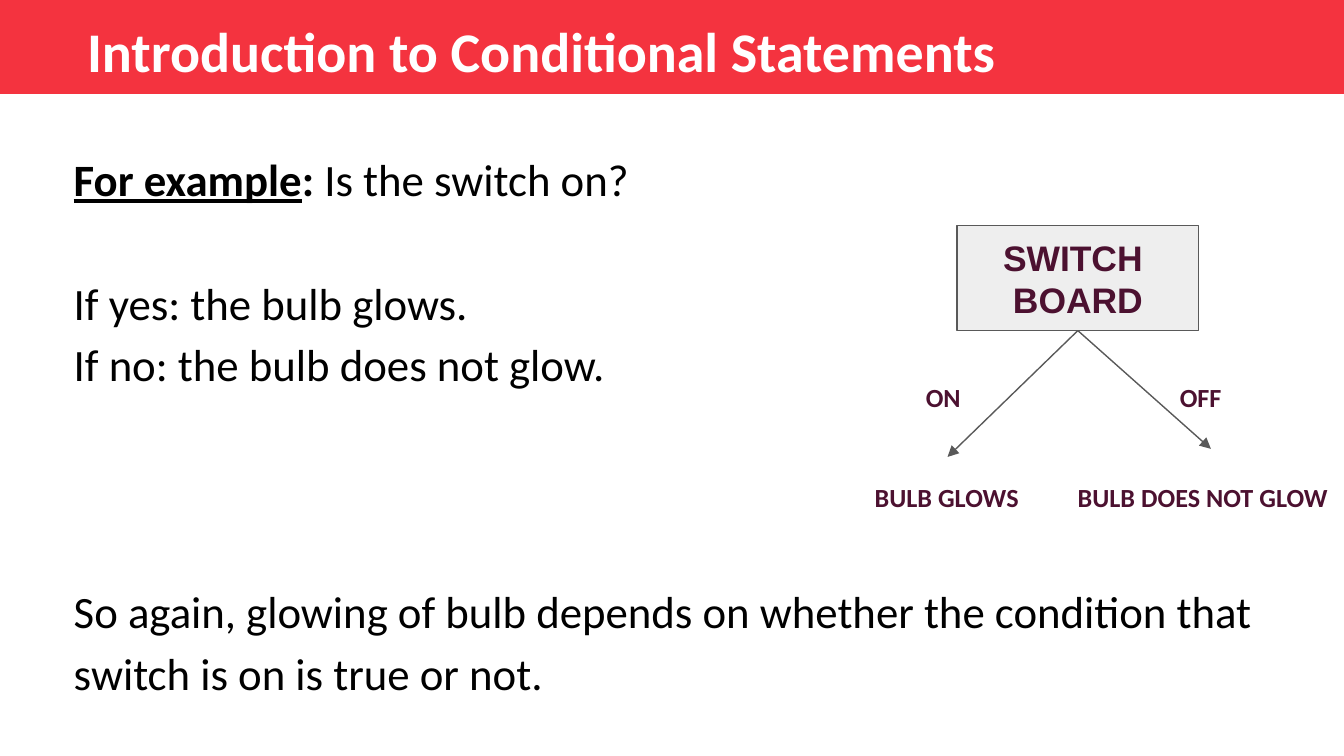
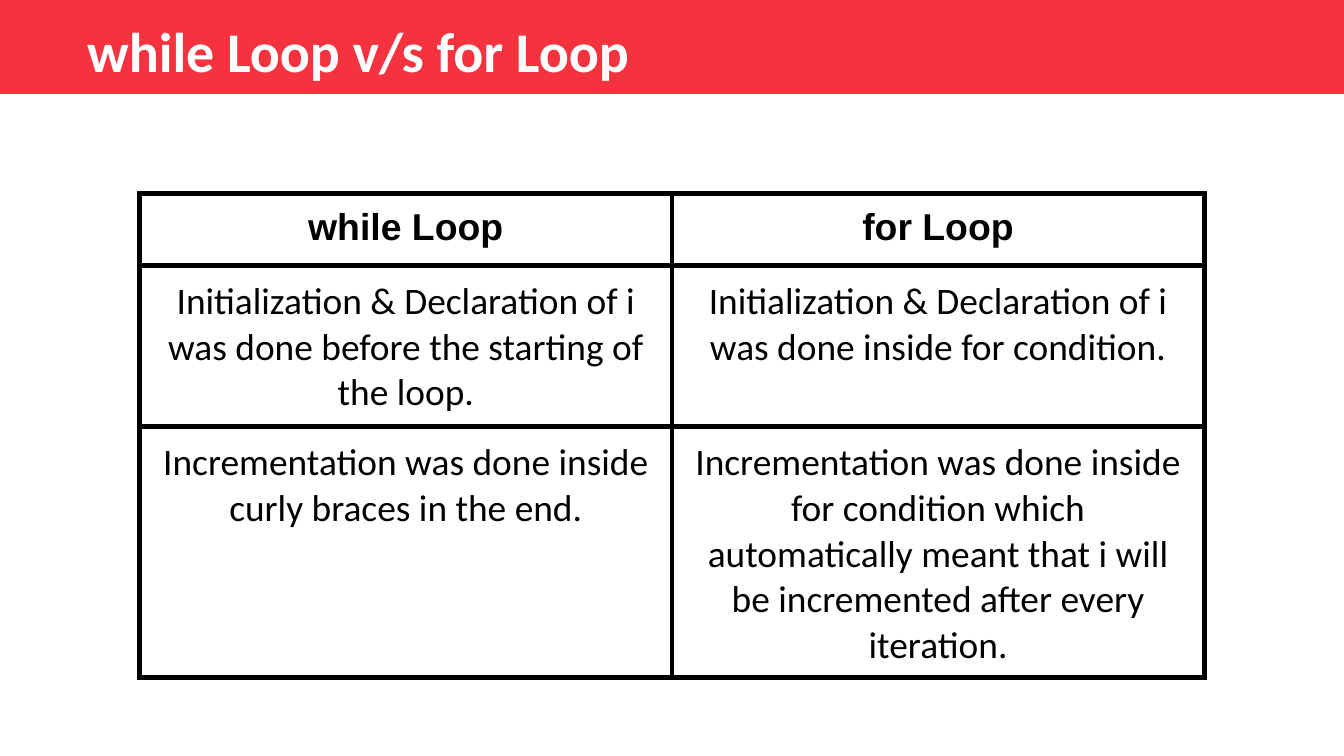
from lxml.etree import SubElement
from pptx import Presentation
from pptx.dml.color import RGBColor
from pptx.enum.shapes import MSO_CONNECTOR as Connector, MSO_SHAPE as Shape
from pptx.enum.text import MSO_ANCHOR as Anchor, PP_ALIGN as Align
from pptx.oxml.ns import qn
from pptx.util import Inches, Pt

WIDTH = 10
HEIGHT = WIDTH * 9 / 16
MARGIN = 0.1
COLORS = {"band": "F4333F", "title": "FFFFFF", "text": "000000",
          "accent": "4C1130", "panel": "EEEEEE", "line": "595959"}

# Content
EXAMPLE_TITLE = "Introduction to Conditional Statements"
# Each paragraph: blank lines' worth of space before it, then its runs (text, bold, underline)
EXAMPLE_TEXT = [
    (0, [("For example", True, True), (": ", True, False), ("Is the switch on?", False, False)]),
    (1, [("If yes: the bulb glows.", False, False)]),
    (0, [("If no: the bulb does not glow.", False, False)]),
    (3, [("So again, glowing of bulb depends on whether the condition that "
          "switch is on is true or not.", False, False)]),
]
SWITCH_LINES = ["SWITCH ", "BOARD"]
SWITCH_AREA = (7.12, 1.68, 1.8, 0.78)
# Each branch: arrow tip, then labels (text, left, top, width)
BRANCHES = [
    ((7.05, 3.4), [("ON", 6.79, 2.74, 0.7), ("BULB GLOWS", 6.41, 3.48, 1.5)]),
    ((9.01, 3.34), [("OFF", 8.68, 2.74, 0.7), ("BULB DOES NOT GLOW", 7.92, 3.48, 2.08)]),
]

LOOP_TITLE = "while Loop v/s for Loop"
LOOP_ROWS = [
    ("while Loop", "for Loop"),
    ("Initialization & Declaration of i was done before the starting of the loop.",
     "Initialization & Declaration of i was done inside for condition."),
    ("Incrementation was done inside curly braces in the end.",
     "Incrementation was done inside for condition which automatically meant "
     "that i will be incremented after every iteration."),
]
TABLE_LEFT, TABLE_TOP, TABLE_HEIGHT = 1.04, 1.44, 3.6
ROW_HEIGHT = 0.42  # rows grow to fit their text


def rgb(name):
    return RGBColor.from_string(COLORS[name])


def inches(*lengths):
    return [Inches(length) for length in lengths]


def style(font, size, color, bold=False, name="Calibri"):
    font.name, font.size, font.bold = name, Pt(size), bold
    font.color.rgb = rgb(color)


def set_margins(holder):
    holder.margin_left = holder.margin_right = Inches(MARGIN)
    holder.margin_top = holder.margin_bottom = Inches(MARGIN)


def add_text(slide, area, text=""):
    frame = slide.shapes.add_textbox(*inches(*area)).text_frame
    frame.word_wrap = True
    set_margins(frame)
    frame.text = text
    return frame


def add_box(slide, area, fill, line=None):
    box = slide.shapes.add_shape(Shape.RECTANGLE, *inches(*area))
    box.shadow.inherit = False
    box.fill.solid()
    box.fill.fore_color.rgb = rgb(fill)
    if line:
        box.line.color.rgb = rgb(line)
        box.line.width = Pt(0.75)
    else:
        box.line.fill.background()
    return box


def add_arrow(slide, box, tip):
    arrow = slide.shapes.add_connector(Connector.STRAIGHT, 0, 0, *inches(*tip))
    arrow.begin_connect(box, 2)
    arrow.line.color.rgb = rgb("line")
    arrow.line.width = Pt(0.75)
    SubElement(arrow.line._get_or_add_ln(), qn("a:tailEnd"), type="triangle")
    SubElement(arrow._element.spPr, qn("a:effectLst"))


def add_borders(cell, width):
    properties = cell._tc.get_or_add_tcPr()
    for position, side in enumerate(("lnL", "lnR", "lnT", "lnB")):
        border = SubElement(properties, qn(f"a:{side}"), w=str(Pt(width)))
        fill = SubElement(border, qn("a:solidFill"))
        SubElement(fill, qn("a:srgbClr"), val=COLORS["text"])
        properties.insert(position, border)


def add_slide(deck, title):
    slide = deck.slides.add_slide(deck.slide_layouts[6])
    add_box(slide, (0, 0, WIDTH, 0.7), "band")
    frame = add_text(slide, (0.55, 0.02, 7.06, 0.9), title)
    style(frame.paragraphs[0].runs[0].font, 30, "title", True)
    return slide


def build_example(deck):
    slide = add_slide(deck, EXAMPLE_TITLE)

    # Example and conclusion
    frame = add_text(slide, (0.45, 0.97, 9.55, 4.4))
    for index, (gap, spans) in enumerate(EXAMPLE_TEXT):
        para = frame.add_paragraph() if index else frame.paragraphs[0]
        para.line_spacing = 1.15
        if gap:
            para.space_before = Pt(33 * gap)
        for text, bold, underline in spans:
            span = para.add_run()
            span.text = text
            style(span.font, 24, "text", bold)
            span.font.underline = underline

    # Switch board
    box = add_box(slide, SWITCH_AREA, "panel", "line")
    frame = box.text_frame
    frame.text = "\n".join(SWITCH_LINES)
    frame.vertical_anchor = Anchor.MIDDLE
    set_margins(frame)
    for para in frame.paragraphs:
        para.alignment = Align.CENTER
        style(para.runs[0].font, 19, "accent", True, "Arial")

    # Branches
    for tip, labels in BRANCHES:
        add_arrow(slide, box, tip)
        for text, left, top, width in labels:
            label = add_text(slide, (left, top, width, 0.44), text)
            style(label.paragraphs[0].runs[0].font, 14, "accent", True)


def build_comparison(deck):
    slide = add_slide(deck, LOOP_TITLE)
    columns = len(LOOP_ROWS[0])
    area = (TABLE_LEFT, TABLE_TOP, WIDTH - 2 * TABLE_LEFT, TABLE_HEIGHT)
    holder = slide.shapes.add_table(len(LOOP_ROWS), columns, *inches(*area))
    table = holder.table
    table.first_row = table.horz_banding = False
    for r, texts in enumerate(LOOP_ROWS):
        table.rows[r].height = Inches(ROW_HEIGHT)
        for c, text in enumerate(texts):
            cell = table.cell(r, c)
            cell.text = text
            cell.fill.background()
            set_margins(cell)
            add_borders(cell, 3)
            para = cell.text_frame.paragraphs[0]
            para.alignment = Align.CENTER
            header = r == 0
            style(para.runs[0].font, 20, "text", header, "Arial" if header else "Calibri")
    holder.height = Inches(TABLE_HEIGHT)


def main():
    deck = Presentation()
    deck.slide_width, deck.slide_height = inches(WIDTH, HEIGHT)
    build_example(deck)
    build_comparison(deck)
    deck.save("out.pptx")


if __name__ == "__main__":
    main()
